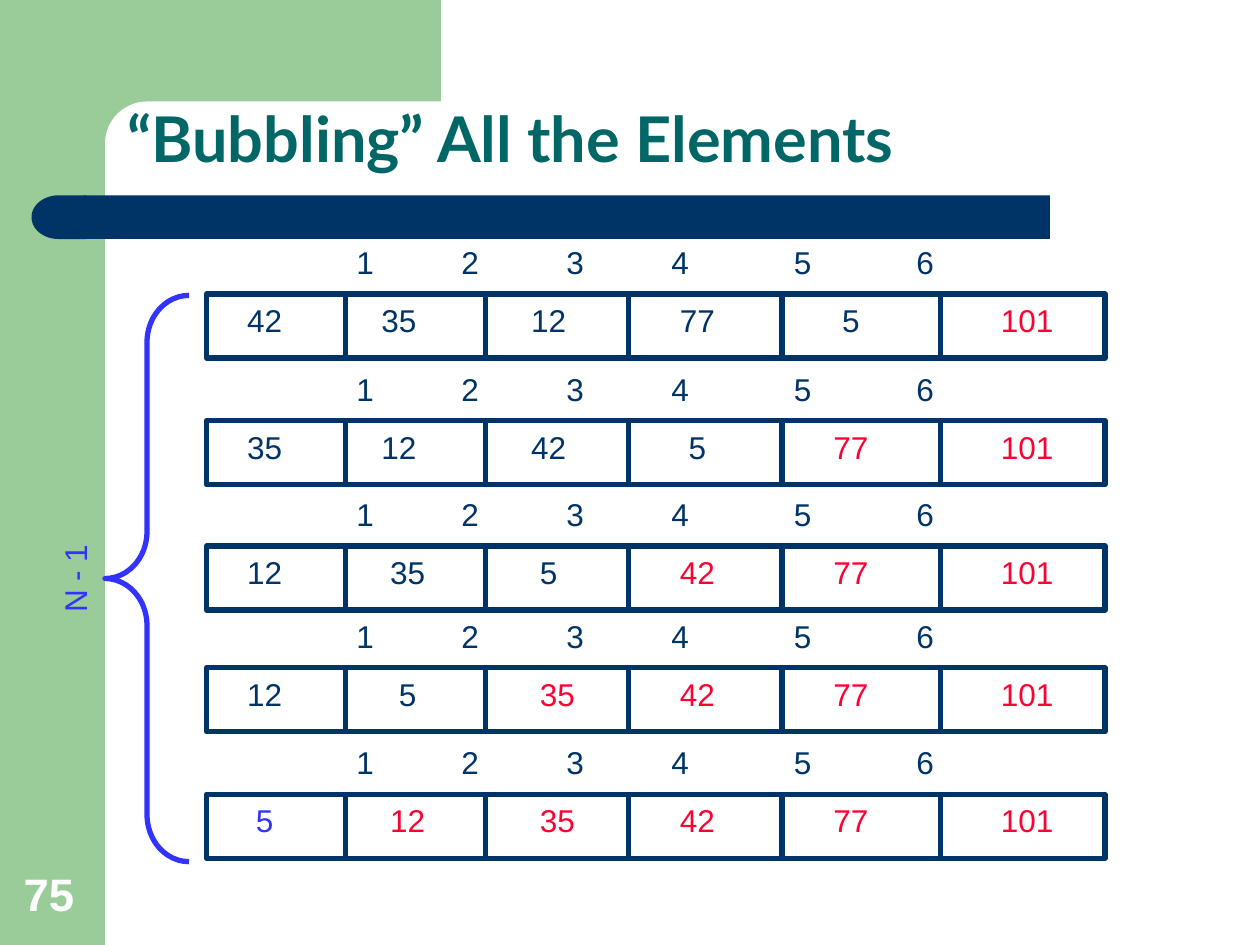
import math

from lxml import etree
from pptx import Presentation
from pptx.dml.color import RGBColor
from pptx.enum.shapes import MSO_CONNECTOR, MSO_SHAPE
from pptx.enum.text import MSO_ANCHOR
from pptx.oxml.ns import qn
from pptx.util import Pt

STRAIGHT = MSO_CONNECTOR.STRAIGHT
RECTANGLE, DELAY, BRACE = MSO_SHAPE.RECTANGLE, MSO_SHAPE.FLOWCHART_DELAY, MSO_SHAPE.LEFT_BRACE
BOTTOM = MSO_ANCHOR.BOTTOM

COLORS = {"band": "99CC99", "navy": "003366", "title": "006666",
          "sorted": "FF0033", "accent": "3333FF", "white": "FFFFFF"}

TITLE = "“Bubbling” All the Elements"
PASSES_LABEL = "N - 1"
SLIDE_NUMBER = "75"
INDEXES = ["1", "2", "3", "4", "5", "6"]
# Each cell: value, indent in steps of INDENT
PASSES = [
    [("42", 0), ("35", 0), ("12", 0), ("77", 0), ("5", 2), ("101", 1)],
    [("35", 0), ("12", 0), ("42", 0), ("5", 1), ("77", 1), ("101", 1)],
    [("12", 0), ("35", 1), ("5", 1), ("42", 0), ("77", 1), ("101", 1)],
    [("12", 0), ("5", 2), ("35", 1), ("42", 0), ("77", 1), ("101", 1)],
    [("5", 1), ("12", 1), ("35", 1), ("42", 0), ("77", 1), ("101", 1)],
]

# Lengths in points
ROW_TOPS = [168, 240.4, 312, 381.6, 453.8]
ROW_LEFT, ROW_WIDTH, ROW_HEIGHT = 118, 513.4, 36.6
DIVIDERS = [197.6, 277.6, 359.3, 446.8, 537.4]
CELL_LEFTS = [134.2, 210.8, 296.4, 381.4, 464.2, 559.8]
INDEX_LEFT, INDEX_RISE, INDEX_WIDTH = 196.6, 32.5, 345
INDEX_TABS = [60, 120, 180, 250, 320]
DIGIT, INDENT, INSET, LABEL_HEIGHT = 10, 5, 7.2, 29
LINE_WIDTH = 3


def rgb(name):
    return RGBColor.from_string(COLORS[name])


def paint(shape, fill=None, line=None):
    shape.shadow.inherit = False
    if fill:
        shape.fill.solid()
        shape.fill.fore_color.rgb = rgb(fill)
    else:
        shape.fill.background()
    if line:
        shape.line.color.rgb = rgb(line)
        shape.line.width = Pt(LINE_WIDTH)
    else:
        shape.line.fill.background()


def add_block(shapes, kind, box, **colors):
    shape = shapes.add_shape(kind, *map(Pt, box))
    paint(shape, **colors)
    return shape


def add_text(shapes, text, box, color="navy", wrap=False, anchor=None,
             indent=0, tabs=(), line_spacing=None, **font):
    shape = shapes.add_textbox(*map(Pt, box))
    frame = shape.text_frame
    frame.word_wrap = wrap
    frame.vertical_anchor = anchor
    paragraph = frame.paragraphs[0]
    paragraph.text = text
    paragraph.line_spacing = line_spacing
    properties = paragraph._p.get_or_add_pPr()
    if indent:
        properties.set("marL", str(Pt(indent)))
    if tabs:
        tab_list = etree.SubElement(properties, qn("a:tabLst"))
        for stop in tabs:
            etree.SubElement(tab_list, qn("a:tab"), pos=str(Pt(stop)), algn="l")
    for name, value in {"name": "Arial", "size": Pt(18), **font}.items():
        setattr(paragraph.font, name, value)
    paragraph.font.color.rgb = rgb(color)
    return shape


def add_divider(shapes, x, top):
    line = shapes.add_connector(STRAIGHT, Pt(x), Pt(top), Pt(x), Pt(top + ROW_HEIGHT))
    line.line.color.rgb = rgb("navy")
    line.line.width = Pt(LINE_WIDTH)
    etree.SubElement(line._element.spPr, qn("a:effectLst"))


def add_corner(shapes):
    """Green block at the top left with a rounded inner corner."""
    left, top, right, bottom = 36, -2, 252, 90
    band_edge, inner_top, radius = 60, 58, 24
    arc = [(band_edge + radius * (1 - math.sin(angle)),
            inner_top + radius * (1 - math.cos(angle)))
           for angle in (math.radians(step) for step in range(0, 91, 5))]
    outline = [(right, inner_top), *arc, (band_edge, bottom), (left, bottom), (left, top)]
    builder = shapes.build_freeform(Pt(right), Pt(top))
    builder.add_line_segments([(Pt(x), Pt(y)) for x, y in outline], close=True)
    paint(builder.convert_to_shape(), fill="band")


def cell_color(row, column):
    if column >= len(INDEXES) - 1 - row:
        return "sorted"
    return "accent" if row == len(PASSES) - 1 else "navy"


def add_pass(shapes, row, top):
    add_block(shapes, RECTANGLE, (ROW_LEFT, top, ROW_WIDTH, ROW_HEIGHT), line="navy")
    for x in DIVIDERS:
        add_divider(shapes, x, top)
    add_text(shapes, "\t".join(INDEXES),
             (INDEX_LEFT, top - INDEX_RISE, INDEX_WIDTH, LABEL_HEIGHT),
             wrap=True, tabs=INDEX_TABS)
    for column, (value, steps) in enumerate(PASSES[row]):
        indent = steps * INDENT
        width = 2 * INSET + DIGIT * len(value) + indent
        add_text(shapes, value, (CELL_LEFTS[column], top + 0.6, width, LABEL_HEIGHT),
                 cell_color(row, column), indent=indent)


def main():
    deck = Presentation()
    deck.slide_width, deck.slide_height = Pt(720), Pt(540)
    shapes = deck.slides.add_slide(deck.slide_layouts[6]).shapes

    add_block(shapes, RECTANGLE, (0, 0, 60, 540), fill="band")
    add_corner(shapes)
    add_block(shapes, RECTANGLE, (48, 111.6, 552, 25), fill="navy")
    add_block(shapes, DELAY, (18, 111.6, 31, 25), fill="navy").rotation = 180
    add_text(shapes, TITLE, (65.6, 26, 612.6, 78.4), "title", wrap=True, anchor=BOTTOM,
             line_spacing=0.9, name="Lato", size=Pt(36), bold=True)

    for row, top in enumerate(ROW_TOPS):
        add_pass(shapes.add_group_shape().shapes, row, top)

    brace = add_block(shapes, BRACE, (60, 168.8, 48, 323.6), line="accent")
    brace.adjustments[0] = 0.56
    add_text(shapes, PASSES_LABEL, (16, 316, 53.4, LABEL_HEIGHT), "accent").rotation = 270
    add_text(shapes, SLIDE_NUMBER, (6.4, 491.8, 46, 38), "white", wrap=True, anchor=BOTTOM,
             size=Pt(26), bold=True)
    deck.save("out.pptx")


if __name__ == "__main__":
    main()
